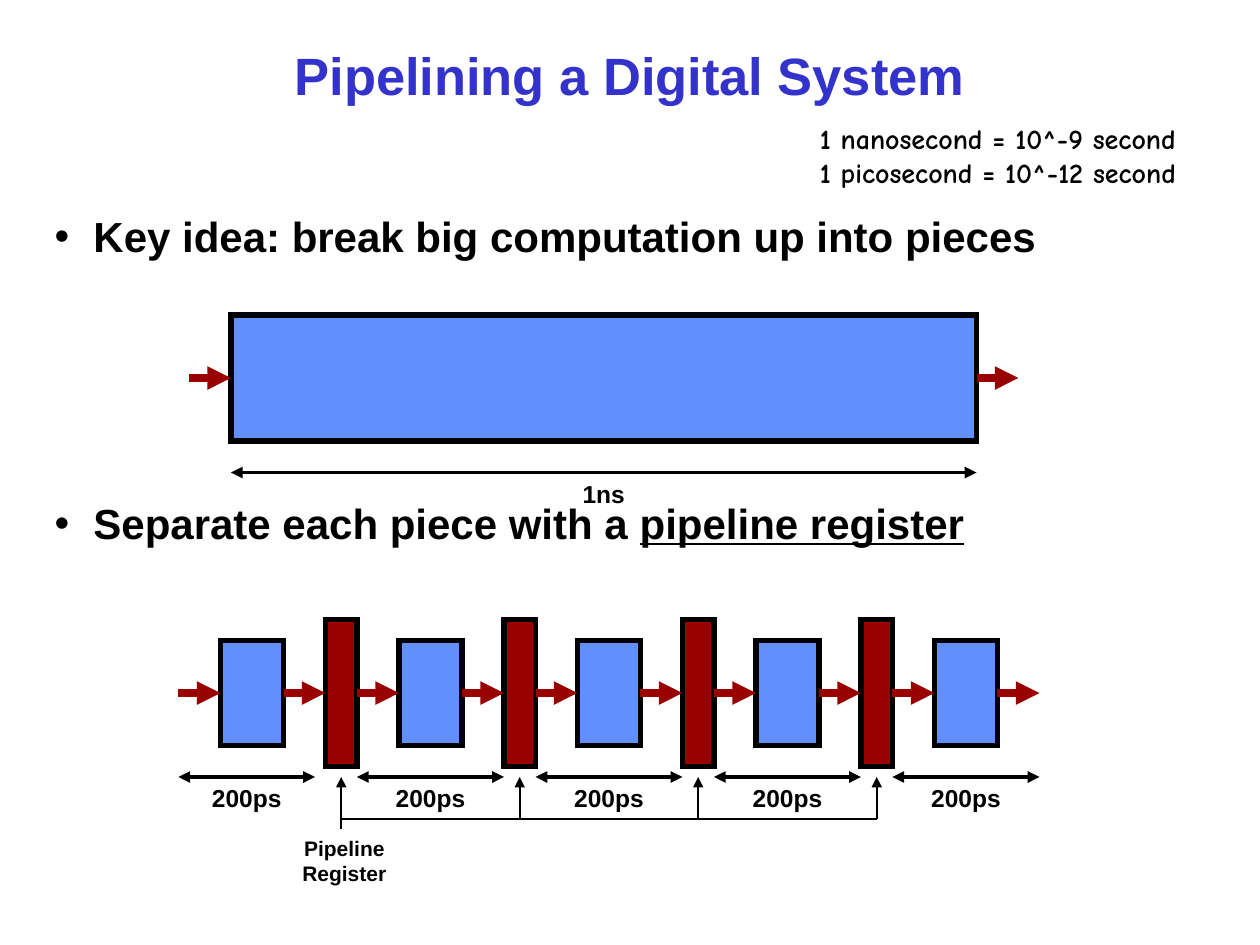
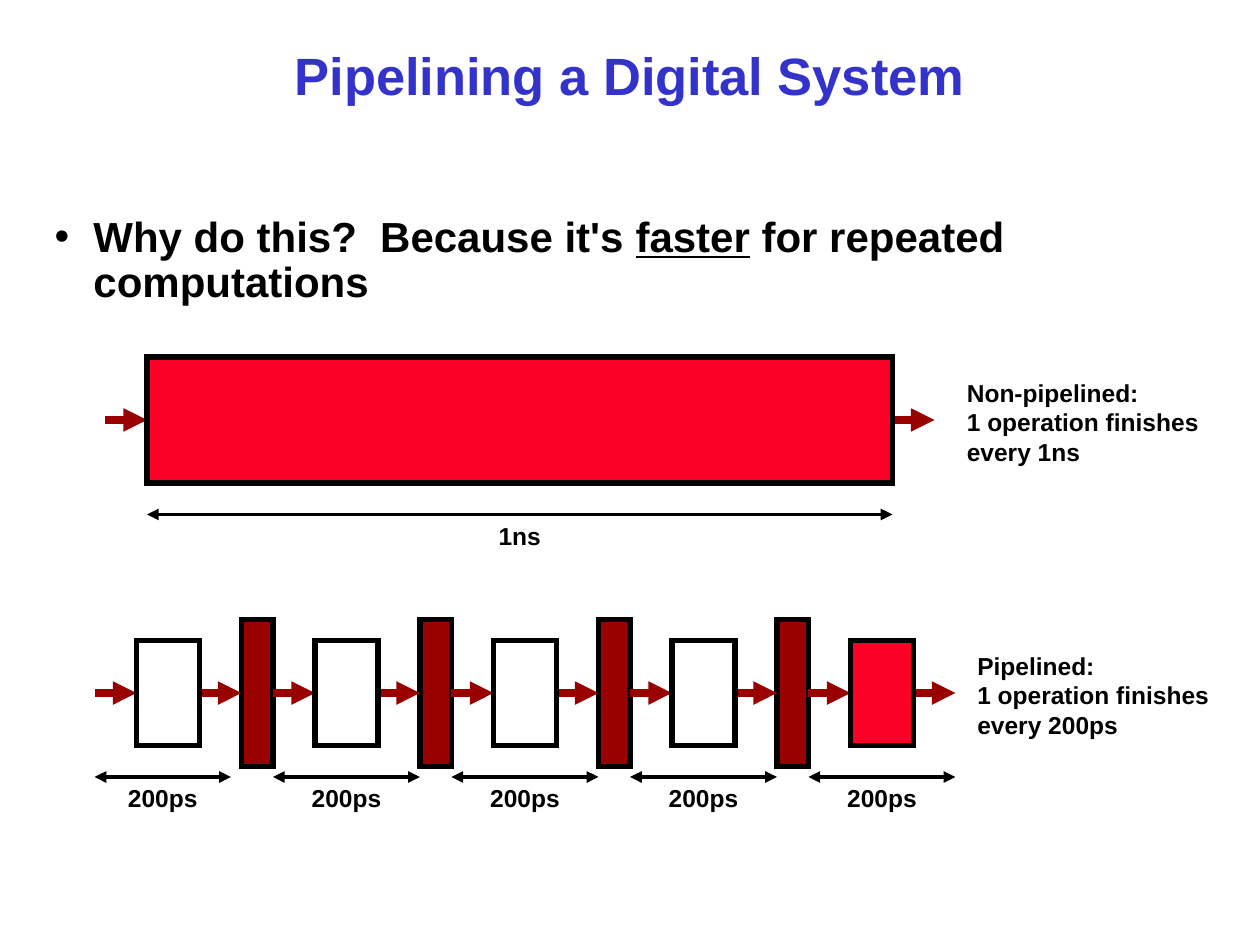
"""Build two slides that compare one long computation with its pipelined form."""
from dataclasses import dataclass
from typing import Optional

from lxml.etree import SubElement
from pptx import Presentation
from pptx.dml.color import RGBColor
from pptx.enum.shapes import MSO_CONNECTOR as Connector, MSO_SHAPE as Preset
from pptx.enum.text import MSO_ANCHOR as Anchor, MSO_AUTO_SIZE as AutoSize, PP_ALIGN as Align
from pptx.oxml.ns import qn
from pptx.shapes.autoshape import Shape
from pptx.shapes.connector import Connector as Line
from pptx.slide import Slide
from pptx.util import Pt

PX = 7620
BLACK = RGBColor(0x00, 0x00, 0x00)
WHITE = RGBColor(0xFF, 0xFF, 0xFF)
TITLE_BLUE = RGBColor(0x33, 0x33, 0xCC)
LOGIC_BLUE = RGBColor(0x61, 0x8F, 0xFD)
BUSY_RED = RGBColor(0xFC, 0x01, 0x28)
REGISTER_RED = RGBColor(0x99, 0x00, 0x00)

SANS, HAND = "Arial", "Comic Neue"
LEFT, RIGHT = 1, 3
FLOW_LENGTH = 40
STAGE_PITCH = 170
PIPE_AXIS = 660
PIPE_SPAN_Y = 740
BUS_Y = 780


@dataclass(frozen=True)
class Box:
    """A rectangle in px."""
    x: int
    y: int
    w: int
    h: int

    def emu(self) -> list[int]:
        """Return left, top, width and height in EMU."""
        return [side * PX for side in (self.x, self.y, self.w, self.h)]


@dataclass(frozen=True)
class Phrase:
    """A piece of a bullet, underlined or plain."""
    text: str
    underline: bool = False


@dataclass(frozen=True)
class Bullet:
    """A bullet with the space before it in points."""
    phrases: tuple[Phrase, ...]
    space_before: int = 0


@dataclass(frozen=True)
class Stroke:
    """A line style with optional arrowheads."""
    color: RGBColor
    width: float
    head: bool = False
    tail: bool = False


FLOW = Stroke(REGISTER_RED, 4.5, tail=True)
SPAN = Stroke(BLACK, 2.25, head=True, tail=True)
POINTER = Stroke(BLACK, 1, tail=True)
BUS = Stroke(BLACK, 1)


def add_run(paragraph, text: str, size: int, font: str = SANS,
            color: RGBColor = BLACK, underline: bool = False) -> None:
    """Append one bold run."""
    run = paragraph.add_run()
    run.text = text
    run.font.name = font
    run.font.size = Pt(size)
    run.font.bold = True
    run.font.color.rgb = color
    if underline:
        run.font.underline = True


def add_label(slide: Slide, box: Box, lines: tuple[str, ...], size: int = 14,
              align: Align = Align.CENTER, font: str = SANS) -> None:
    """Draw unwrapped text, one paragraph a line."""
    frame = slide.shapes.add_textbox(*box.emu()).text_frame
    frame.word_wrap = False
    frame.vertical_anchor = Anchor.MIDDLE
    for index, line in enumerate(lines):
        paragraph = frame.add_paragraph() if index else frame.paragraphs[0]
        paragraph.alignment = align
        add_run(paragraph, line, size, font)


def add_block(slide: Slide, box: Box, fill: RGBColor) -> Shape:
    """Draw a black-edged rectangle with sharp corners."""
    block = slide.shapes.add_shape(Preset.RECTANGLE, *box.emu())
    block.shadow.inherit = False
    block.fill.solid()
    block.fill.fore_color.rgb = fill
    block.line.color.rgb = BLACK
    block.line.width = Pt(3)
    SubElement(block.line._get_or_add_ln(), qn("a:miter"), lim="800000")
    return block


def add_line(slide: Slide, start: tuple[int, int], end: tuple[int, int],
             stroke: Stroke) -> Line:
    """Draw a straight line in the given stroke."""
    line = slide.shapes.add_connector(
        Connector.STRAIGHT, *(value * PX for value in start + end))
    line.line.color.rgb = stroke.color
    line.line.width = Pt(stroke.width)
    outline = line.line._get_or_add_ln()
    for tag, shown in (("a:headEnd", stroke.head), ("a:tailEnd", stroke.tail)):
        if shown:
            SubElement(outline, qn(tag), type="triangle")
    SubElement(line._element.spPr, qn("a:effectLst"))
    return line


def add_flow(slide: Slide, x: int, y: int, source: Optional[Shape],
             target: Optional[Shape]) -> None:
    """Draw a data arrow and join it to the blocks at its ends."""
    arrow = add_line(slide, (x, y), (x + FLOW_LENGTH, y), FLOW)
    if source:
        arrow.begin_connect(source, RIGHT)
    if target:
        arrow.end_connect(target, LEFT)


def add_span(slide: Slide, start: int, end: int, y: int, duration: str) -> None:
    """Draw a time span with its duration centred below."""
    add_line(slide, (start, y), (end, y), SPAN)
    add_label(slide, Box((start + end) // 2 - 45, y, 90, 40), (duration,))


def bring_to_front(slide: Slide, blocks: list[Shape]) -> None:
    """Move the blocks above everything drawn so far."""
    for block in blocks:
        slide.shapes._spTree.append(block._element)


def add_single_unit(slide: Slide, x: int, y: int, fill: RGBColor, on_top: bool) -> None:
    """Draw the unpipelined unit with its arrows and duration."""
    unit_box = Box(x, y, 710, 120)
    axis, end = y + unit_box.h // 2, x + unit_box.w
    unit = add_block(slide, unit_box, fill)
    add_flow(slide, x - FLOW_LENGTH, axis, None, unit)
    add_flow(slide, end, axis, unit, None)
    add_span(slide, x, end, y + 150, "1ns")
    if on_top:
        bring_to_front(slide, [unit])


def add_pipeline(slide: Slide, x: int, fills: list[RGBColor], on_top: bool) -> None:
    """Draw stages split by registers, with arrows and durations."""
    last = len(fills) - 1
    stages, chain, flow_starts = [], [], [x]
    for index, fill in enumerate(fills):
        left = x + index * STAGE_PITCH
        stages.append(add_block(slide, Box(left + 40, PIPE_AXIS - 50, 60, 100), fill))
        chain.append(stages[-1])
        flow_starts.append(left + 100)
        if index < last:
            chain.append(add_block(
                slide, Box(left + 140, PIPE_AXIS - 70, 30, 140), REGISTER_RED))
            flow_starts.append(left + STAGE_PITCH)
    for start, source, target in zip(flow_starts, [None] + chain, chain + [None]):
        add_flow(slide, start, PIPE_AXIS, source, target)
    for index in range(len(fills)):
        left = x + index * STAGE_PITCH
        add_span(slide, left, left + (140 if index else 130), PIPE_SPAN_Y, "200ps")
    if on_top:
        bring_to_front(slide, stages)


def add_register_callout(slide: Slide, x: int, count: int) -> None:
    """Point from one label to every pipeline register."""
    centers = [x + 155 + index * STAGE_PITCH for index in range(count)]
    for index, center in enumerate(centers):
        add_line(slide, (center, BUS_Y if index else BUS_Y + 10),
                 (center, PIPE_SPAN_Y), POINTER)
    add_line(slide, (centers[0], BUS_Y), (centers[-1], BUS_Y), BUS)
    add_label(slide, Box(263, 790, 130, 60), ("Pipeline", "Register"), 12)


def place(placeholder: Shape, box: Box, anchor: Anchor):
    """Move a placeholder and return its text frame."""
    placeholder.left, placeholder.top, placeholder.width, placeholder.height = box.emu()
    frame = placeholder.text_frame
    frame.auto_size = AutoSize.NONE
    frame.word_wrap = True
    frame.vertical_anchor = anchor
    return frame


def add_content_slide(deck, bullets: tuple[Bullet, ...]) -> Slide:
    """Add a slide with the shared title and its bullets."""
    slide = deck.slides.add_slide(deck.slide_layouts[1])
    heading = place(slide.shapes.title, Box(130, 0, 940, 150), Anchor.MIDDLE).paragraphs[0]
    heading.alignment = Align.CENTER
    heading.line_spacing = 0.9
    add_run(heading, "Pipelining a Digital System", 30, color=TITLE_BLUE)
    body = place(slide.placeholders[1], Box(40, 200, 1060, 600), Anchor.TOP)
    for index, bullet in enumerate(bullets):
        paragraph = body.add_paragraph() if index else body.paragraphs[0]
        paragraph.line_spacing = 0.9
        paragraph.space_before = Pt(bullet.space_before)
        properties = paragraph._p.get_or_add_pPr()
        properties.set("marL", str(37 * PX))
        properties.set("indent", str(-37 * PX))
        bullet_color = SubElement(properties, qn("a:buClr"))
        SubElement(bullet_color, qn("a:srgbClr"), val=str(BLACK))
        SubElement(properties, qn("a:buChar"), char="•")
        for phrase in bullet.phrases:
            add_run(paragraph, phrase.text, 24, underline=phrase.underline)
    return slide


def add_idea_slide(deck) -> None:
    """Show how a computation is cut into stages."""
    slide = add_content_slide(deck, (
        Bullet((Phrase("Key idea: break big computation up into pieces"),)),
        Bullet((Phrase("Separate each piece with a "),
                Phrase("pipeline register", True)), 138),
    ))
    add_single_unit(slide, 220, 300, LOGIC_BLUE, on_top=False)
    add_pipeline(slide, 170, [LOGIC_BLUE] * 5, on_top=False)
    add_register_callout(slide, 170, 4)
    add_label(slide, Box(769, 110, 364, 76),
              ("1 nanosecond = 10^-9 second", "1 picosecond = 10^-12 second"),
              16, Align.LEFT, HAND)


def add_speed_slide(deck) -> None:
    """Show the finishing rate with and without a pipeline."""
    slide = add_content_slide(deck, (
        Bullet((Phrase("Why do this?  Because it's "), Phrase("faster", True),
                Phrase(" for repeated computations"))),
    ))
    add_single_unit(slide, 140, 340, BUSY_RED, on_top=True)
    add_pipeline(slide, 90, [WHITE] * 4 + [BUSY_RED], on_top=True)
    for box, kind, period in ((Box(909, 354, 245, 96), "Non-pipelined:", "1ns"),
                              (Box(919, 614, 245, 96), "Pipelined:", "200ps")):
        add_label(slide, box, (kind, "1 operation finishes", f"every {period}"),
                  align=Align.LEFT)


def main() -> None:
    """Build and save the deck."""
    deck = Presentation()
    deck.slide_width, deck.slide_height = 1200 * PX, 900 * PX
    add_idea_slide(deck)
    add_speed_slide(deck)
    deck.save("out.pptx")


if __name__ == "__main__":
    main()
